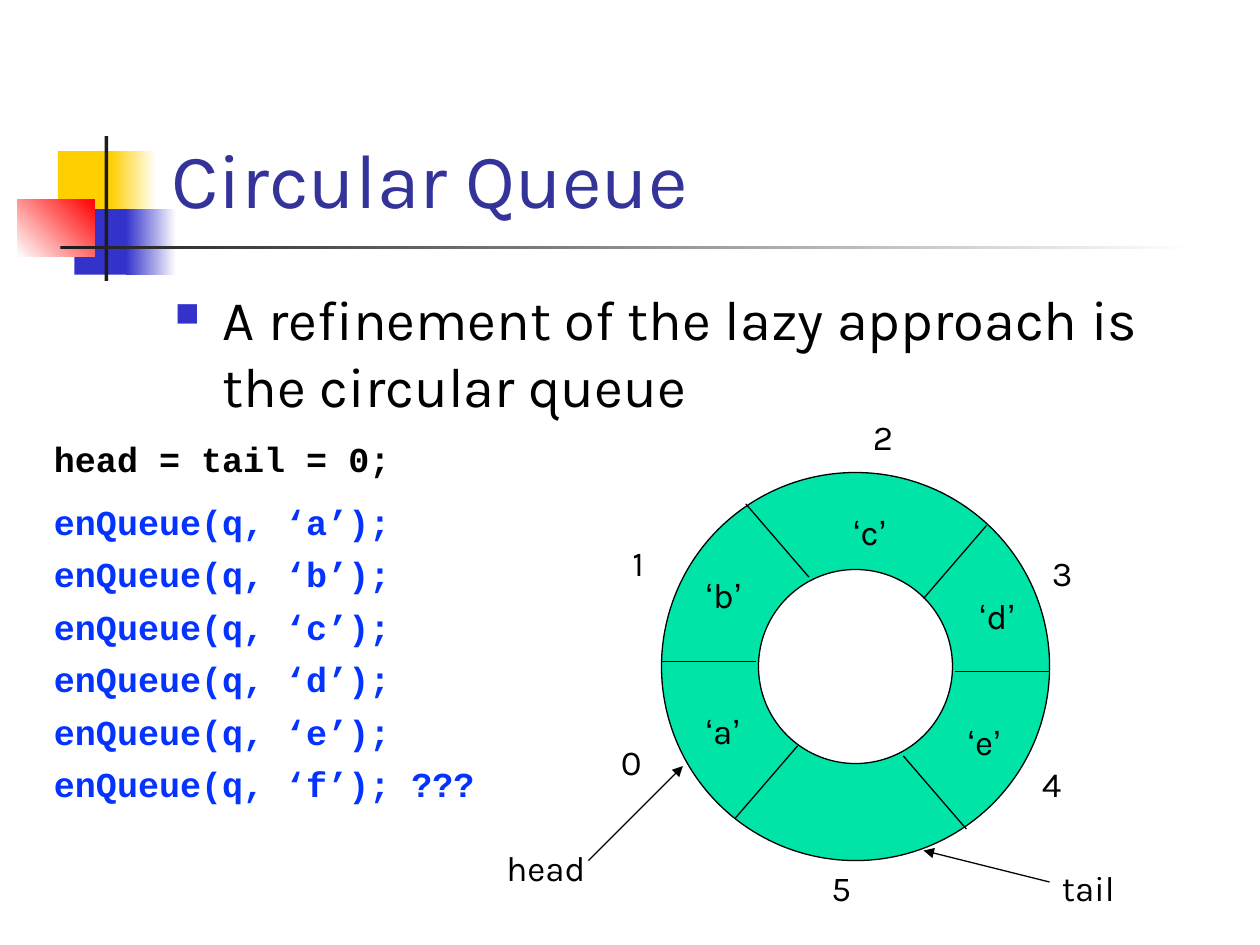
from typing import NamedTuple

from lxml import etree
from pptx import Presentation
from pptx.dml.color import RGBColor
from pptx.enum.shapes import MSO_CONNECTOR, MSO_SHAPE
from pptx.enum.text import MSO_ANCHOR, MSO_AUTO_SIZE, PP_ALIGN
from pptx.oxml.ns import qn
from pptx.shapes.connector import Connector
from pptx.shapes.shapetree import GroupShapes, SlideShapes
from pptx.text.text import Font
from pptx.util import Inches, Pt

RECT, DONUT = MSO_SHAPE.RECTANGLE, MSO_SHAPE.DONUT
LINE = MSO_CONNECTOR.STRAIGHT
BOTTOM, TOP = MSO_ANCHOR.BOTTOM, MSO_ANCHOR.TOP
LEFT = PP_ALIGN.LEFT
FIT, FIXED = MSO_AUTO_SIZE.SHAPE_TO_FIT_TEXT, MSO_AUTO_SIZE.NONE

BLACK = RGBColor(0x00, 0x00, 0x00)
WHITE = RGBColor(0xFF, 0xFF, 0xFF)
GOLD = RGBColor(0xFF, 0xCF, 0x01)
BLUE = RGBColor(0x33, 0x33, 0xCC)
RED = RGBColor(0xFF, 0x00, 0x00)
DARK = RGBColor(0x1C, 0x1C, 0x1C)
NAVY = RGBColor(0x33, 0x33, 0x99)
CODE = RGBColor(0x04, 0x32, 0xFF)
GREEN = RGBColor(0x00, 0xE4, 0xA8)

SANS, MONO, QUOTE = "Karla", "Courier New", "Arial"
ROW = 0.43  # height of a one-line box
STEP = 5 / 12  # distance between lines of code

Shapes = SlideShapes | GroupShapes


class Block(NamedTuple):
    x: float
    y: float
    w: float
    h: float
    color: RGBColor
    fade: RGBColor | None = None
    angle: float = 0


class Label(NamedTuple):
    text: str
    x: float
    y: float
    w: float = 0.5


class Seg(NamedTuple):
    x1: float
    y1: float
    x2: float
    y2: float


BLOCKS = [
    Block(0.46, 1.2, 0.48, 0.52, GOLD),
    Block(0.88, 1.2, 0.36, 0.52, GOLD, WHITE),
    Block(0.59, 1.66, 0.46, 0.52, BLUE),
    Block(1, 1.66, 0.4, 0.52, BLUE, WHITE),
    Block(0.14, 1.58, 0.61, 0.46, WHITE, RED, 45),
    Block(0.83, 1.08, 0.03, 1.15, DARK),
    Block(0.48, 1.95, 9, 0.03, DARK, WHITE),
]
CUTS = [
    Seg(5.25, 5.25, 6, 5.25),
    Seg(5.83, 6.5, 6.33, 5.92),
    Seg(7.58, 5.33, 8.33, 5.33),
    Seg(7.33, 4.75, 7.83, 4.17),
    Seg(7.17, 6, 7.67, 6.58),
    Seg(5.92, 4, 6.42, 4.58),
]
SLOTS = [
    Label("0", 4.83, 5.83),
    Label("1", 4.92, 4.25),
    Label("2", 6.83, 3.25),
    Label("3", 8.25, 4.33),
    Label("4", 8.17, 6),
    Label("5", 6.5, 6.83),
]
ITEMS = [
    Label("a", 5.5, 5.58),
    Label("b", 5.5, 4.5),
    Label("c", 6.67, 4),
    Label("d", 7.67, 4.67),
    Label("e", 7.58, 5.67),
]
ENDS = [Label("tail", 8.33, 6.83, 0.75), Label("head", 3.92, 6.67, 1.08)]
ARROWS = [Seg(4.67, 6.83, 5.42, 6.08), Seg(8.33, 7, 7.33, 6.75)]
CALLS = ["‘a’);", "‘b’);", "‘c’);", "‘d’);", "‘e’);", "‘f’); ???"]


def style(font: Font, name: str, size: float, color: RGBColor,
          bold: bool = False) -> None:
    font.name, font.size, font.bold = name, Pt(size), bold
    font.color.rgb = color


def draw_block(shapes: Shapes, b: Block) -> None:
    shape = shapes.add_shape(RECT, Inches(b.x), Inches(b.y), Inches(b.w), Inches(b.h))
    shape.shadow.inherit = False
    shape.line.fill.background()
    if b.fade is None:
        shape.fill.solid()
        shape.fill.fore_color.rgb = b.color
        return
    shape.fill.gradient()
    shape.fill.gradient_angle = b.angle
    for stop, color in zip(shape.fill.gradient_stops, (b.color, b.fade)):
        stop.color.rgb = color


def draw_line(shapes: Shapes, s: Seg) -> Connector:
    line = shapes.add_connector(LINE, Inches(s.x1), Inches(s.y1),
                                Inches(s.x2), Inches(s.y2))
    line.line.color.rgb = BLACK
    line.line.width = Pt(0.75)
    etree.SubElement(line._element.spPr, qn("a:effectLst"))
    return line


def draw_arrow(shapes: Shapes, s: Seg) -> None:
    ln = draw_line(shapes, s).line._get_or_add_ln()
    etree.SubElement(ln, qn("a:tailEnd"), type="triangle")


def draw_label(shapes: Shapes, l: Label, name: str = SANS,
               color: RGBColor = BLACK, bold: bool = False) -> None:
    box = shapes.add_textbox(Inches(l.x), Inches(l.y), Inches(l.w), Inches(ROW))
    frame = box.text_frame
    frame.word_wrap, frame.auto_size = True, FIT
    frame.text = l.text
    style(frame.paragraphs[0].runs[0].font, name, 20, color, bold)


def draw_item(shapes: Shapes, l: Label) -> None:
    box = shapes.add_textbox(Inches(l.x), Inches(l.y), Inches(l.w), Inches(ROW))
    frame = box.text_frame
    frame.word_wrap, frame.auto_size = True, FIT
    for text, name in (("‘", QUOTE), (l.text, SANS), ("’", QUOTE)):
        run = frame.paragraphs[0].add_run()
        run.text = text
        style(run.font, name, 20, BLACK)


def draw_title(shapes: SlideShapes) -> None:
    title = shapes.title
    title.left, title.top = Inches(1.26), Inches(0.23)
    title.width, title.height = Inches(8.52), Inches(1.6)
    frame = title.text_frame
    frame.text = "Circular Queue"
    frame.vertical_anchor, frame.auto_size = BOTTOM, FIXED
    frame.paragraphs[0].alignment = LEFT
    style(frame.paragraphs[0].runs[0].font, SANS, 44, NAVY)


def draw_body(shapes: SlideShapes) -> None:
    box = shapes.add_textbox(Inches(1.29), Inches(2.21), Inches(8.5), Inches(4.5))
    frame = box.text_frame
    frame.word_wrap, frame.vertical_anchor = True, TOP
    para = frame.paragraphs[0]
    para.text = "A refinement of the lazy approach is the circular queue"
    props = para._p.get_or_add_pPr()
    props.set("marL", str(Inches(0.38)))
    props.set("indent", str(-Inches(0.38)))
    color = etree.SubElement(props, qn("a:buClr"))
    etree.SubElement(color, qn("a:srgbClr"), val=str(BLUE))
    etree.SubElement(props, qn("a:buSzPct"), val="60000")
    etree.SubElement(props, qn("a:buChar"), char="■")
    style(para.runs[0].font, SANS, 32, BLACK)


def draw_ring(shapes: SlideShapes) -> None:
    parts = shapes.add_group_shape().shapes
    ring = parts.add_shape(DONUT, Inches(5.25), Inches(3.75), Inches(3.08), Inches(3.08))
    ring.adjustments[0] = 0.25
    ring.shadow.inherit = False
    ring.fill.solid()
    ring.fill.fore_color.rgb = GREEN
    ring.line.color.rgb = BLACK
    ring.line.width = Pt(0.75)
    for cut in CUTS:
        draw_line(parts, cut)
    for slot in SLOTS:
        draw_label(parts, slot)


def main() -> None:
    prs = Presentation()
    prs.slide_width, prs.slide_height = Inches(10), Inches(7.5)
    shapes = prs.slides.add_slide(prs.slide_layouts[5]).shapes

    # Corner ornament, heading and bullet
    for block in BLOCKS:
        draw_block(shapes, block)
    draw_title(shapes)
    draw_body(shapes)

    # Queue ring with its items and pointers
    draw_ring(shapes)
    for item in ITEMS:
        draw_item(shapes, item)
    for end in ENDS:
        draw_label(shapes, end)
    for arrow in ARROWS:
        draw_arrow(shapes, arrow)

    # Code
    draw_label(shapes, Label("head = tail = 0;", 0.33, 3.42, 3.75), MONO, BLACK, True)
    for i, call in enumerate(CALLS):
        line = Label(f"enQueue(q, {call}", 0.33, 3.92 + i * STEP, 3.75)
        draw_label(shapes, line, MONO, CODE, True)

    prs.save("out.pptx")


if __name__ == "__main__":
    main()
